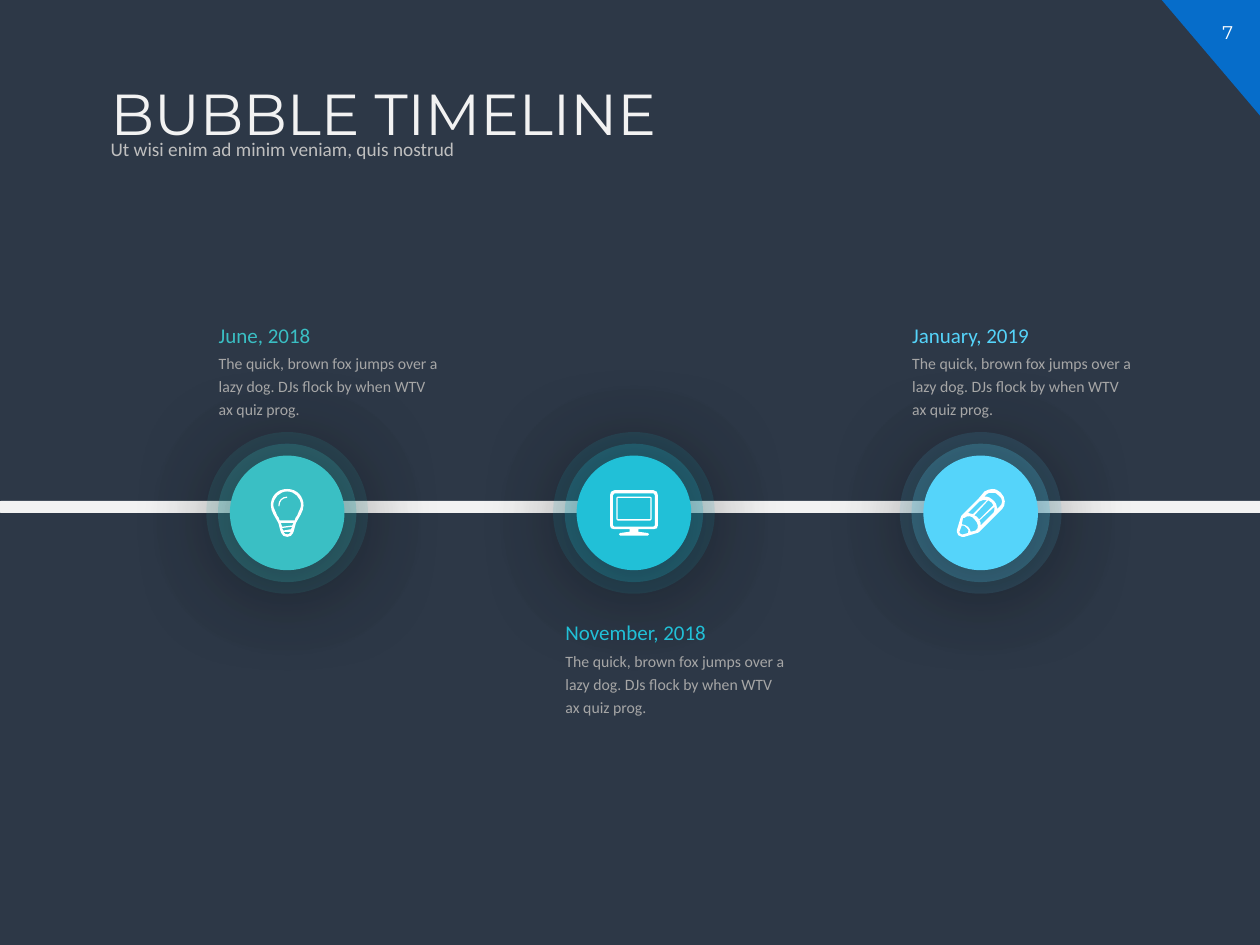
"""Build the bubble timeline slide."""
from dataclasses import dataclass

from lxml.etree import SubElement
from pptx import Presentation
from pptx.dml.color import RGBColor
from pptx.enum.shapes import MSO_SHAPE
from pptx.enum.text import MSO_ANCHOR, PP_ALIGN
from pptx.oxml.ns import qn
from pptx.shapes.autoshape import Shape
from pptx.shapes.shapetree import SlideShapes
from pptx.util import Cm, Pt

COLORS = {
    "background": "2D3847", "corner": "066DCA", "white": "FFFFFF", "title": "F2F2F2",
    "subtitle": "BFBFBF", "body": "A6A6A6",
    "teal": "3ABFC4", "cyan": "21C0D7", "sky": "55D4FA",
}
STORY = "The quick, brown fox jumps over a lazy dog. DJs flock by when WTV ax quiz prog."
FIRST_X, STEP_X, CENTER_Y = 5.79, 6.99, 10.34
ICON_SIZE, ICON_UNIT = 38, 0.0254

BULB = (
    "25,25 13,25 13,24;12,22;11,21 10,18;8,15;8,13 8,7;13,2;19,2 25,2;30,7;30,13 30,15;28,18;27,21 26,22;25,24;25,25",
    "19,36 18,36;17,36;16,34 22,34 21,36;20,36;19,36",
    "15,30 14,27 24,27 23,29",
    "22,32 16,33 15,31 23,30",
    "19,0 11,0;6,6;6,13 6,18;10,23;12,27 14,34;14,38;19,38 24,38;24,34;26,27 28,23;32,18;32,13 32,6;27,0;19,0",
)
BULB_SHINE = ("19,6 15,6;12,9;12,13 12,13;12,14;12.5,14 13,13 13,10;15,7;19,7",)
MONITOR_SCREEN = (
    "32,24 6,24 6,7 32,7",
    "32,6 6,6 5,6;5,7;5,7 5,24 5,25;5,25;6,25 32,25 33,25;33,25;33,24 33,7 33,7;33,6;32,6",
)
MONITOR_BODY = (
    "35.6,29 35.6,29.5;35,30;34.5,30 3.5,30 3,30;2.4,29.5;2.4,29 2.4,5 2.4,4;3,3.5;3.5,3.5 34.5,3.5 35,3.5;35.6,4;35.6,5",
    "34.5,1 3.5,1 1,1;0,3;0,5 0,29 0,31;1,32;3.5,32 15.5,32 15.5,34 8,35 7,35;7,35;7,36 7,37;7,37;8,37 "
    "30,37 31,37;31,37;31,36 31,35;31,35;30,35 22.5,34 22.5,32 34.5,32 37,32;38,31;38,29 38,5 38,3;37,1;34.5,1",
)
PENCIL = (
    "34,14 32,16 32,16;32,16;32,15 32,13;31,11;29,9 27,7;25,6;22,6 24,4 25,3;26,3;28,3 30,3;32,3;33,5 "
    "35,6;36,8;36,10 36,12;35,13;34,14",
    "11,34 11,33;10,31;9,30 7,29;6,28;4,28 5,23 5,23;6,23;6,23 8,21;12,21;14,24 17,27;18,31;15,33",
    "5,36 4,36 3,36;2,35;2,34 2.5,33 4,29 5,29;7,29;8,31 9,32;10,33;9,35",
    "13,20 11,20;10,19;9,19 18,10 20,9;22,8;24,9",
    "18,24 17,24;17,23;16,22 15,22;15,21;14,21 25,9 26,10;27,10;28,11 28,12;29,12;29,13",
    "19,29 19,27;19,26;18,25 30,14 30,16;30,19;28,20",
    "35,3 33,1;31,0;28,0 26,0;24,1;22,2 17,8 4,21 4,21;3,22;3,23 0,33 0,33;0,34;0,34 0,36;2,38;4,38 "
    "5,38;6,38;6,38 16,35 16,35;17,35;18,34 36,16 39,13;39,7;35,3",
)


@dataclass(frozen=True)
class Milestone:
    """One dated bubble on the timeline."""
    date: str
    color: str
    text_top: float
    icon: tuple[tuple[str, ...], ...]


@dataclass(frozen=True)
class Ring:
    """One disc of a bubble, with opacity in percent."""
    diameter: float
    opacity: int
    shadow_blur: int


MILESTONES = (
    Milestone("June, 2018", "teal", 6.27, (BULB, BULB_SHINE)),
    Milestone("November, 2018", "cyan", 12.27, (MONITOR_SCREEN, MONITOR_BODY)),
    Milestone("January, 2019", "sky", 6.27, (PENCIL,)),
)
RINGS = (Ring(3.26, 13, 49), Ring(2.79, 25, 49), Ring(2.31, 100, 64))


def paint(shape: Shape, color: str) -> None:
    """Give a shape a flat fill without line or shadow."""
    shape.fill.solid()
    shape.fill.fore_color.rgb = RGBColor.from_string(COLORS[color])
    shape.line.fill.background()
    shape.shadow.inherit = False


def add_text(shapes: SlideShapes, text: str, box: tuple[float, ...], color: str, size: float,
             face: str = "Calibri", anchor: MSO_ANCHOR = MSO_ANCHOR.TOP, **layout) -> None:
    """Add a wrapped one-paragraph text box measured in centimetres."""
    frame = shapes.add_textbox(*map(Cm, box)).text_frame
    frame.word_wrap = True
    frame.vertical_anchor = anchor
    paragraph = frame.paragraphs[0]
    paragraph.text = text
    for target, values in ((paragraph, layout), (paragraph.font, {"name": face, "size": Pt(size)})):
        for name, value in values.items():
            setattr(target, name, value)
    paragraph.font.color.rgb = RGBColor.from_string(COLORS[color])


def add_ring(shapes: SlideShapes, ring: Ring, center_x: float, color: str) -> None:
    """Add one translucent disc with a soft shadow."""
    radius = ring.diameter / 2
    disc = shapes.add_shape(MSO_SHAPE.OVAL, Cm(center_x - radius), Cm(CENTER_Y - radius),
                            Cm(ring.diameter), Cm(ring.diameter))
    paint(disc, color)
    properties = disc._element.spPr
    if ring.opacity < 100:
        fill_color = properties.find(qn("a:solidFill"))[0]
        SubElement(fill_color, qn("a:alpha"), val=str(ring.opacity * 1000))
    shadow = SubElement(properties.find(qn("a:effectLst")), qn("a:outerShdw"),
                        blurRad=str(Pt(ring.shadow_blur)), dist=str(Pt(4)), dir="5400000",
                        algn="t", rotWithShape="0")
    shade = SubElement(shadow, qn("a:srgbClr"), val="000000")
    SubElement(shade, qn("a:alpha"), val="43000")


def read_segments(contour: str) -> list[list[tuple[int, int]]]:
    """Split a contour into lines of one point and curves of three."""
    return [[tuple(Cm(float(value) * ICON_UNIT) for value in knot.split(","))
             for knot in segment.split(";")] for segment in contour.split()]


def add_icon_piece(shapes: SlideShapes, contours: tuple[str, ...], center_x: float) -> None:
    """Add a white curved outline placed within the icon's square."""
    outlines = [read_segments(contour) for contour in contours]
    builder = shapes.build_freeform(*outlines[0][0][0])
    for index, (start, *segments) in enumerate(outlines):
        if index:
            builder.move_to(*start[0])
        builder.add_line_segments([knot for segment in segments for knot in segment])
    half = ICON_SIZE * ICON_UNIT / 2
    piece = builder.convert_to_shape(Cm(center_x - half), Cm(CENTER_Y - half))
    paint(piece, "white")

    route = next(piece._element.iter(qn("a:path")))
    steps = iter(route.findall(qn("a:lnTo")))
    for _, *segments in outlines:
        for segment in segments:
            curve, *tail = [next(steps) for _ in segment]
            if tail:
                curve.tag = qn("a:cubicBezTo")
                for step in tail:
                    curve.append(step[0])
                    route.remove(step)


def add_caption(shapes: SlideShapes, milestone: Milestone, center_x: float) -> None:
    """Add the date and story of a milestone."""
    left = center_x - RINGS[0].diameter / 2
    add_text(shapes, milestone.date, (left, milestone.text_top, 5.26, 0.86),
             milestone.color, 12, line_spacing=1.2)
    add_text(shapes, STORY, (left, milestone.text_top + 0.67, 4.95, 1.65),
             "body", 9, line_spacing=1.2)


def main() -> None:
    """Compose and save the slide."""
    deck = Presentation()
    deck.slide_width, deck.slide_height = Cm(25.4), Cm(19.05)
    slide = deck.slides.add_slide(deck.slide_layouts[6])
    slide.background.fill.solid()
    slide.background.fill.fore_color.rgb = RGBColor.from_string(COLORS["background"])
    shapes = slide.shapes

    corner = shapes.add_shape(MSO_SHAPE.RIGHT_TRIANGLE, Cm(23.42), Cm(0), Cm(1.98), Cm(2.33))
    corner.rotation = 180
    paint(corner, "corner")
    add_text(shapes, "7", (24.1, 0.3, 1.3, 0.71), "white", 10.5, "Montserrat",
             alignment=PP_ALIGN.CENTER)
    add_text(shapes, "BUBBLE TIMELINE", (1.98, 1.6, 22.5, 1.85), "title", 33, "Montserrat",
             line_spacing=0.9)
    add_text(shapes, "Ut wisi enim ad minim veniam, quis nostrud", (1.98, 2.69, 18.31, 0.66),
             "subtitle", 11, anchor=MSO_ANCHOR.MIDDLE, line_spacing=0.9)

    axis = shapes.add_shape(MSO_SHAPE.ROUNDED_RECTANGLE, Cm(-0.1), Cm(10.1), Cm(25.78), Cm(0.24))
    axis.adjustments[0] = 0.5
    paint(axis, "title")
    placed = [(milestone, FIRST_X + index * STEP_X) for index, milestone in enumerate(MILESTONES)]
    for milestone, center_x in placed:
        for ring in RINGS:
            add_ring(shapes, ring, center_x, milestone.color)
    for milestone, center_x in placed:
        add_caption(shapes, milestone, center_x)
        for contours in milestone.icon:
            add_icon_piece(shapes, contours, center_x)
    deck.save("out.pptx")


if __name__ == "__main__":
    main()
